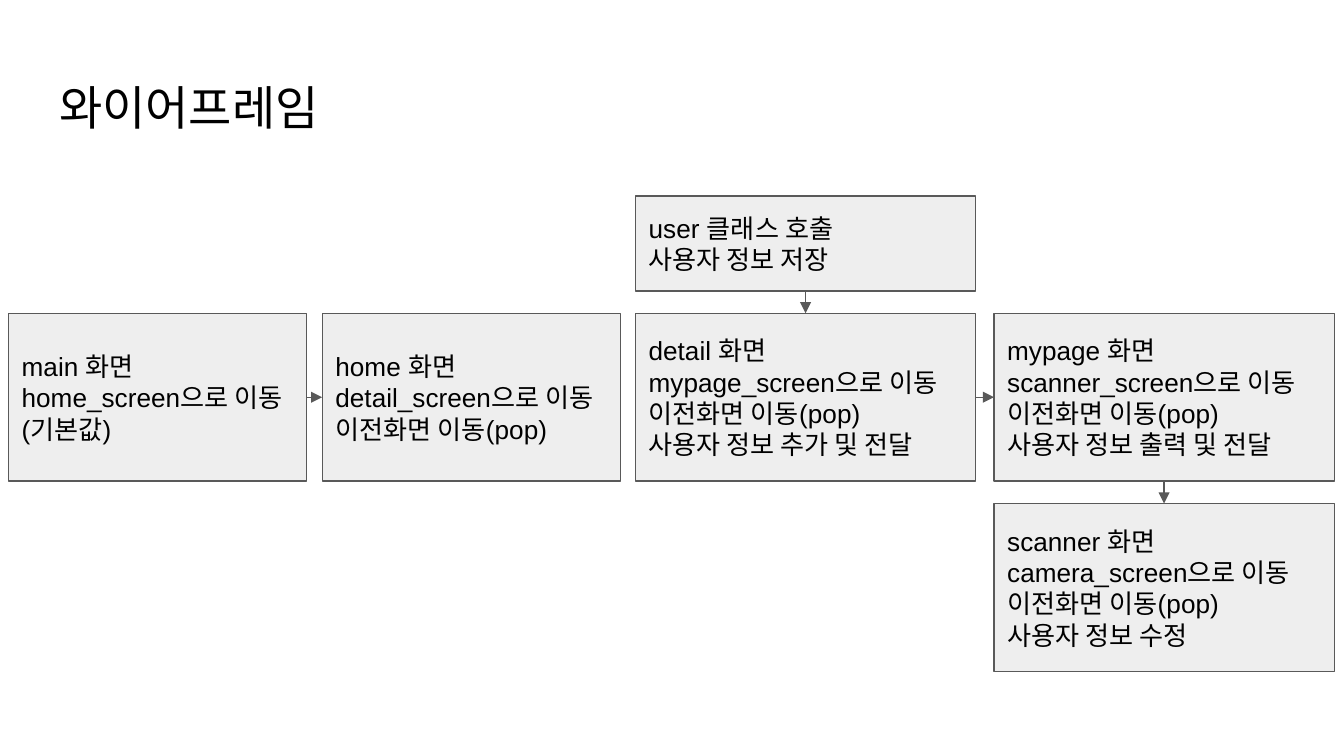
from lxml.etree import SubElement
from pptx import Presentation
from pptx.dml.color import RGBColor
from pptx.enum.shapes import MSO_CONNECTOR, MSO_SHAPE
from pptx.enum.text import MSO_ANCHOR, MSO_AUTO_SIZE, PP_ALIGN
from pptx.oxml.ns import qn
from pptx.util import Pt

BLACK = RGBColor(0x00, 0x00, 0x00)
PANEL = RGBColor(0xEE, 0xEE, 0xEE)
OUTLINE = RGBColor(0x59, 0x59, 0x59)
FONT = "Arial"
INSET = Pt(7.2)
TOP, BOTTOM, LEFT, RIGHT = 0, 2, 1, 3

SCREEN_TOP, SCREEN_HEIGHT = 167.8, 90
NARROW, WIDE = 159.8, 182.3
MAIN_X, HOME_X, DETAIL_X, MYPAGE_X = 4.5, 172.6, 340.4, 532.5

# name: (box as left, top, width, height; lines)
SCREENS = {
    "main": ((MAIN_X, SCREEN_TOP, NARROW, SCREEN_HEIGHT),
             ["main 화면", "home_screen으로 이동", "(기본값)"]),
    "home": ((HOME_X, SCREEN_TOP, NARROW, SCREEN_HEIGHT),
             ["home 화면", "detail_screen으로 이동", "이전화면 이동(pop)"]),
    "detail": ((DETAIL_X, SCREEN_TOP, WIDE, SCREEN_HEIGHT),
               ["detail 화면", "mypage_screen으로 이동", "이전화면 이동(pop)",
                "사용자 정보 추가 및 전달"]),
    "mypage": ((MYPAGE_X, SCREEN_TOP, WIDE, SCREEN_HEIGHT),
               ["mypage 화면", "scanner_screen으로 이동", "이전화면 이동(pop)",
                "사용자 정보 출력 및 전달"]),
    "scanner": ((MYPAGE_X, 269.8, WIDE, SCREEN_HEIGHT),
                ["scanner 화면", "camera_screen으로 이동", "이전화면 이동(pop)",
                 "사용자 정보 수정"]),
    "user": ((DETAIL_X, 105, WIDE, 51),
             ["user 클래스 호출", "사용자 정보 저장"]),
}
# source, side it leaves, target, side it enters
FLOWS = [
    ("main", RIGHT, "home", LEFT),
    ("user", BOTTOM, "detail", TOP),
    ("detail", RIGHT, "mypage", LEFT),
    ("mypage", BOTTOM, "scanner", TOP),
]


def apply_format(target, values):
    for attribute, value in values.items():
        setattr(target, attribute, value)


def fill_text(frame, lines, size, anchor):
    apply_format(frame, {
        "margin_left": INSET, "margin_right": INSET,
        "margin_top": INSET, "margin_bottom": INSET,
        "word_wrap": True, "auto_size": MSO_AUTO_SIZE.NONE,
        "vertical_anchor": anchor,
    })
    frame.text = "\n".join(lines)
    for paragraph in frame.paragraphs:
        paragraph.alignment = PP_ALIGN.LEFT
        for run in paragraph.runs:
            apply_format(run.font, {"name": FONT, "size": Pt(size)})
            run.font.color.rgb = BLACK


def style_line(line):
    line.color.rgb = OUTLINE
    line.width = Pt(0.75)


def place_title(slide, box, wording):
    title = slide.shapes.title
    apply_format(title, dict(zip(("left", "top", "width", "height"), map(Pt, box))))
    fill_text(title.text_frame, [wording], 25.2, MSO_ANCHOR.TOP)


def add_screen(slide, box, lines):
    screen = slide.shapes.add_shape(MSO_SHAPE.RECTANGLE, *map(Pt, box))
    screen.shadow.inherit = False
    screen.fill.solid()
    screen.fill.fore_color.rgb = PANEL
    style_line(screen.line)
    fill_text(screen.text_frame, lines, 14, MSO_ANCHOR.MIDDLE)
    return screen


def add_flow(slide, source, leaving, target, entering):
    """Join two screens with an arrow that points at the target."""
    flow = slide.shapes.add_connector(MSO_CONNECTOR.STRAIGHT, 0, 0, 0, 0)
    flow.begin_connect(source, leaving)
    flow.end_connect(target, entering)
    style_line(flow.line)
    SubElement(flow.line._get_or_add_ln(), qn("a:tailEnd"), type="triangle")
    SubElement(flow._element.spPr, qn("a:effectLst"))


def add_wireframe(slide):
    screens = {name: add_screen(slide, box, lines)
               for name, (box, lines) in SCREENS.items()}
    for source, leaving, target, entering in FLOWS:
        add_flow(slide, screens[source], leaving, screens[target], entering)


def main():
    deck = Presentation()
    apply_format(deck, {"slide_width": Pt(720), "slide_height": Pt(405)})
    slide = deck.slides.add_slide(deck.slide_layouts[5])
    place_title(slide, (24.5, 35, 671, 45), "와이어프레임")
    add_wireframe(slide)
    deck.save("out.pptx")


if __name__ == "__main__":
    main()
